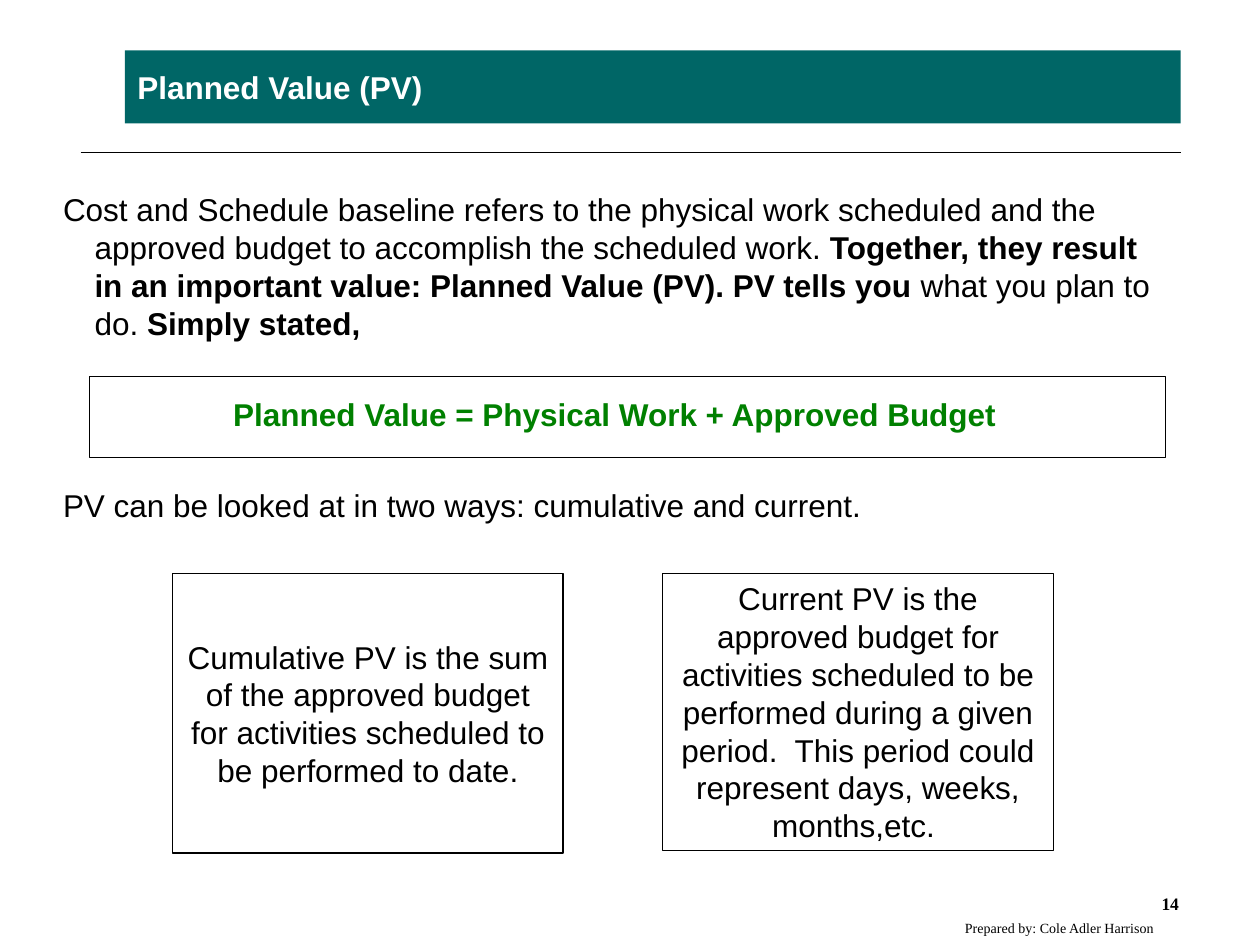
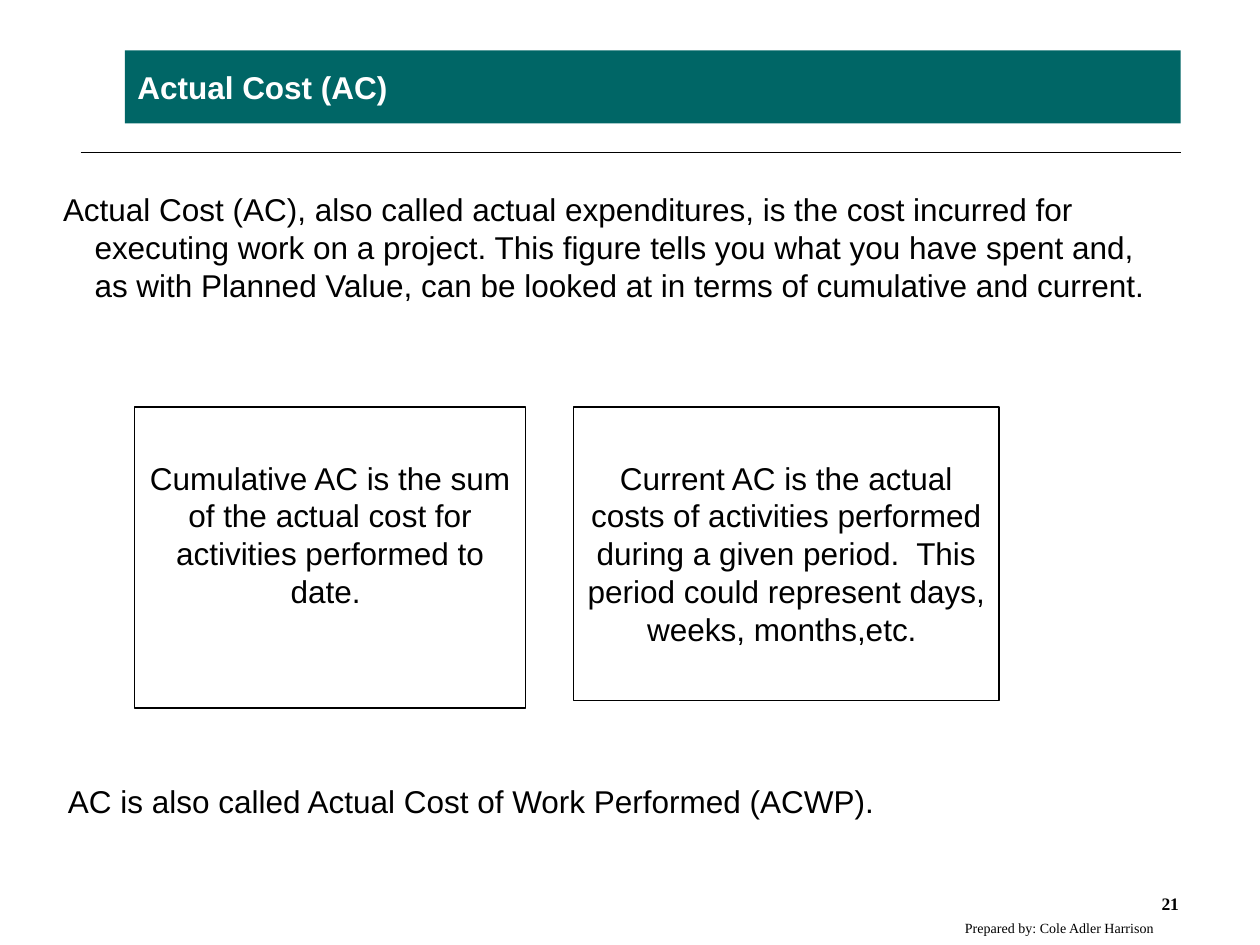
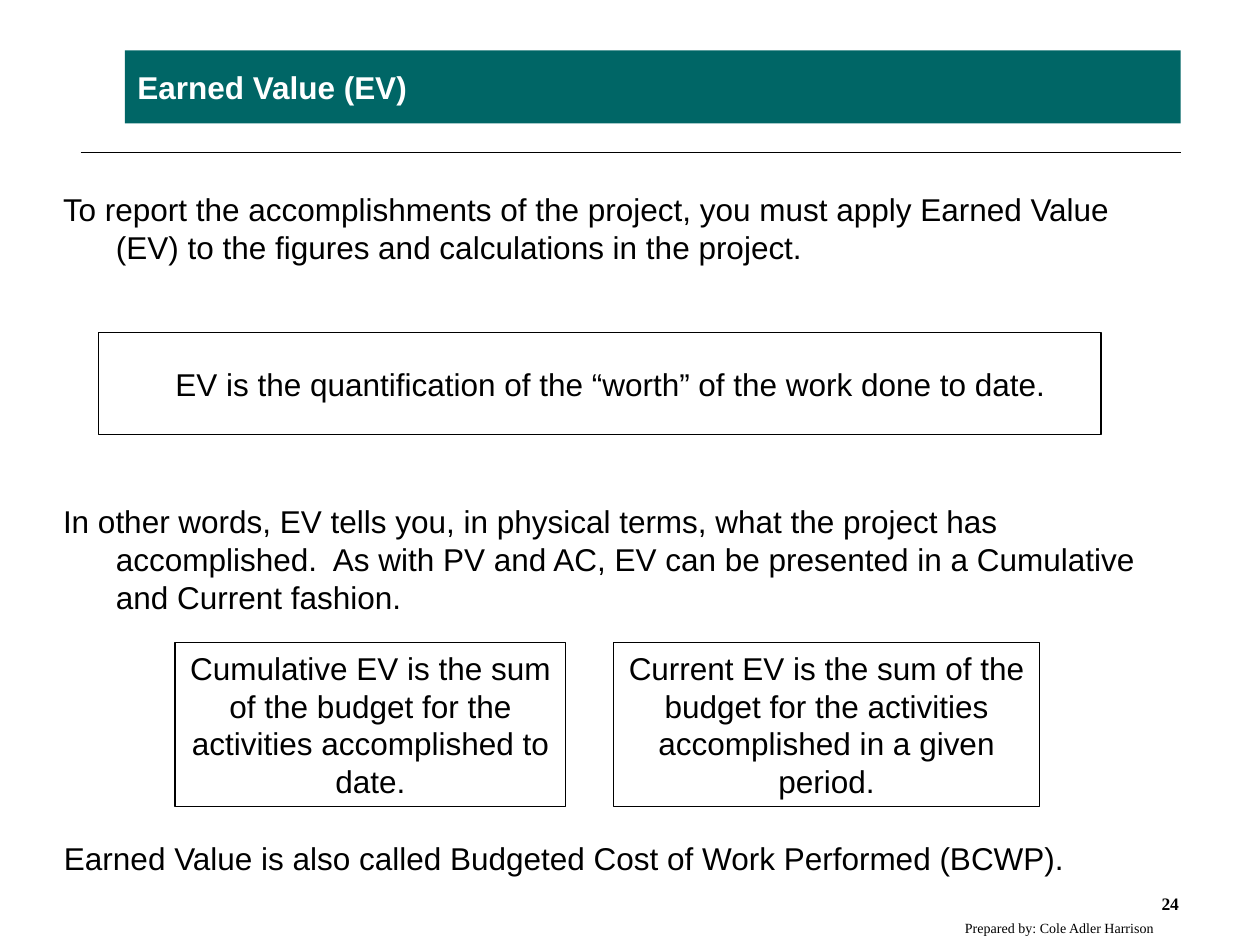
"""Build three slides on planned value, actual cost and earned value."""
from lxml.etree import SubElement
from pptx import Presentation
from pptx.dml.color import RGBColor as RGB
from pptx.enum.shapes import MSO_CONNECTOR as Link, MSO_SHAPE as Form
from pptx.enum.text import MSO_ANCHOR as Anchor, MSO_AUTO_SIZE as Fit, PP_ALIGN as Align
from pptx.oxml.ns import qn
from pptx.util import Inches, Pt

TEAL = RGB(0x00, 0x66, 0x66)
GREEN = RGB(0x00, 0x80, 0x00)
BLACK = RGB(0x00, 0x00, 0x00)
WHITE = RGB(0xFF, 0xFF, 0xFF)
SANS, SERIF = "Arial", "Times New Roman"
LEAD = Pt(21.6)
CREDIT = "Prepared by: Cole Adler Harrison"


class Deck:
    """Hold the shared style and the current slide."""

    def __init__(self):
        self.prs = Presentation()
        self.prs.slide_width, self.prs.slide_height = Inches(10), Inches(7.5)

    def start(self, title, number):
        """Open a slide with its title band, rule and footer."""
        self.slide = self.prs.slides.add_slide(self.prs.slide_layouts[1])
        self.rule(0.64, 1.21, 9.37)
        self.text(9.12, 7.04, 0.82, 0.27, number, 10, SERIF, bold=True, wrap=False)
        self.text(7.56, 7.25, 2.05, 0.17, CREDIT, 8, SERIF)
        band = self.slide.shapes.title
        self.place(band, 0.99, 0.4, 8.38, 0.58)
        band.fill.solid()
        band.fill.fore_color.rgb = TEAL
        frame = band.text_frame
        frame.auto_size, frame.vertical_anchor = Fit.NONE, Anchor.MIDDLE
        para = frame.paragraphs[0]
        para.alignment = Align.LEFT
        self.run(para, title, color=WHITE, bold=True)

    def place(self, shape, left, top, width, height):
        """Move and size a shape, in inches."""
        shape.left, shape.top = Inches(left), Inches(top)
        shape.width, shape.height = Inches(width), Inches(height)

    def run(self, para, text, size=18, face=SANS, color=BLACK, bold=False):
        """Add one formatted run."""
        run = para.add_run()
        run.text = text
        font = run.font
        font.name, font.size, font.bold = face, Pt(size), bold
        font.color.rgb = color

    def rule(self, left, top, right):
        """Draw a level line."""
        line = self.slide.shapes.add_connector(
            Link.STRAIGHT, Inches(left), Inches(top), Inches(right), Inches(top))
        line.line.color.rgb, line.line.width = BLACK, Pt(1)
        SubElement(line._element.spPr, qn("a:effectLst"))

    def text(self, left, top, width, height, words, size=18, face=SANS,
             bold=False, wrap=True):
        """Add a text box of one run."""
        box = self.slide.shapes.add_textbox(
            Inches(left), Inches(top), Inches(width), Inches(height))
        box.text_frame.word_wrap = wrap
        para = box.text_frame.paragraphs[0]
        if size == 18:
            para.line_spacing = LEAD
        self.run(para, words, size, face, bold=bold)

    def body(self, paras, hang, gap):
        """Fill the body with (alignment, runs) paragraphs at an even gap."""
        holder = self.slide.placeholders[1]
        self.place(holder, 0.4, 1.46, 8.96, 4.96)
        frame = holder.text_frame
        frame.auto_size = Fit.NONE
        for i, (align, runs) in enumerate(paras):
            para = frame.add_paragraph() if i else frame.paragraphs[0]
            props = para._p.get_or_add_pPr()
            props.set("marL", str(Inches(hang)))
            props.set("indent", str(-Inches(hang)))
            SubElement(props, qn("a:buNone"))
            para.alignment, para.line_spacing = align, LEAD
            para.space_before = Pt(gap if i else 0)
            for text, style in runs:
                self.run(para, text, **style)

    def box(self, left, top, width, height, words="", inset=0.05):
        """Draw an outlined box with centred words."""
        box = self.slide.shapes.add_shape(
            Form.RECTANGLE, Inches(left), Inches(top), Inches(width), Inches(height))
        box.shadow.inherit = False
        box.fill.background()
        box.line.color.rgb, box.line.width = BLACK, Pt(0.75)
        if words:
            frame = box.text_frame
            frame.word_wrap, frame.vertical_anchor = True, Anchor.TOP
            frame.margin_top = Inches(inset)
            para = frame.paragraphs[0]
            para.alignment, para.line_spacing = Align.CENTER, LEAD
            self.run(para, words)


def main():
    """Build and save the slides."""
    deck = Deck()
    left, mid = Align.LEFT, Align.CENTER
    plain, bold = {}, {"bold": True}

    deck.start("Planned Value (PV)", "14")
    deck.body([
        (left, [
            ("Cost and Schedule baseline refers to the physical work scheduled and the "
             "approved budget to accomplish the scheduled work. ", plain),
            ("Together, they result in an important value: Planned Value (PV). "
             "PV tells you ", bold),
            ("what you plan to do. ", plain),
            ("Simply stated,", bold)]),
        (mid, [("Planned Value = Physical Work + Approved Budget",
                {"color": GREEN, "bold": True})]),
        (left, [("PV can be looked at in two ways: cumulative and current.", plain)]),
    ], 0.25, 30.6)
    deck.box(0.71, 2.99, 8.54, 0.64)
    deck.box(1.37, 4.55, 3.1, 2.22,
             "Cumulative PV is the sum of the approved budget for activities "
             "scheduled to be performed to date.", 0.51)
    deck.box(5.26, 4.55, 3.1, 2.2,
             "Current PV is the approved budget for activities scheduled to be "
             "performed during a given period.  This period could represent days, "
             "weeks, months,etc. ")

    deck.start("Actual Cost (AC)", "21")
    deck.body([
        (left, [("Actual Cost (AC), also called actual expenditures, is the cost "
                 "incurred for executing work on a project. This figure tells you "
                 "what you have spent and, as with Planned Value, can be looked at "
                 "in terms of cumulative and current.", plain)]),
    ], 0.25, 0)
    deck.box(1.07, 3.23, 3.1, 2.39,
             "Cumulative AC is the sum of the actual cost for activities performed "
             "to date. ", 0.41)
    deck.box(4.55, 3.23, 3.38, 2.33,
             "Current AC is the actual costs of activities performed during a given "
             "period.  This period could represent days, weeks, months,etc. ", 0.41)
    deck.text(0.44, 6.16, 7.42, 0.4,
              "AC is also called Actual Cost of Work Performed (ACWP).")

    deck.start("Earned Value (EV)", "24")
    deck.body([
        (left, [("To report the accomplishments of the project, you must apply Earned "
                 "Value (EV) to the figures and calculations in the project.", plain)]),
        (mid, [("EV is the quantification of the “worth” of the work done to date. ",
                plain)]),
        (left, [("In other words, EV tells you, in physical terms, what the project "
                 "has accomplished.  As with PV and AC, EV can be presented in a "
                 "Cumulative and Current fashion.", plain)]),
    ], 0.42, 56.7)
    deck.box(0.78, 2.64, 7.96, 0.81)
    deck.box(1.39, 5.1, 3.1, 1.3,
             "Cumulative EV is the sum of the budget for the activities "
             "accomplished to date.")
    deck.box(4.87, 5.1, 3.38, 1.3,
             "Current EV is the sum of the budget for the activities accomplished "
             "in a given period.")
    deck.text(0.41, 6.61, 9.24, 0.4,
              "Earned Value is also called Budgeted Cost of Work Performed (BCWP).")

    deck.prs.save("out.pptx")


if __name__ == "__main__":
    main()
